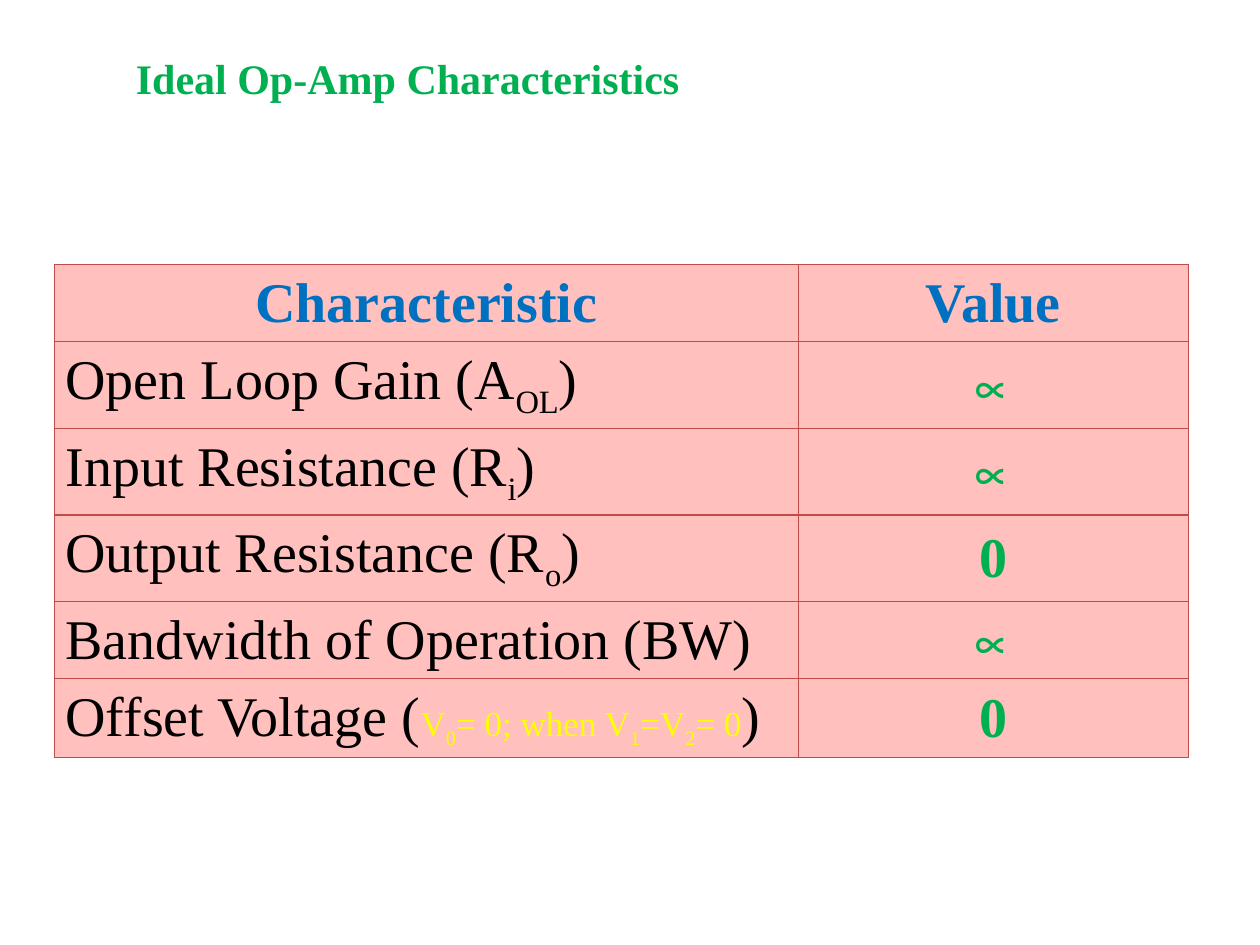
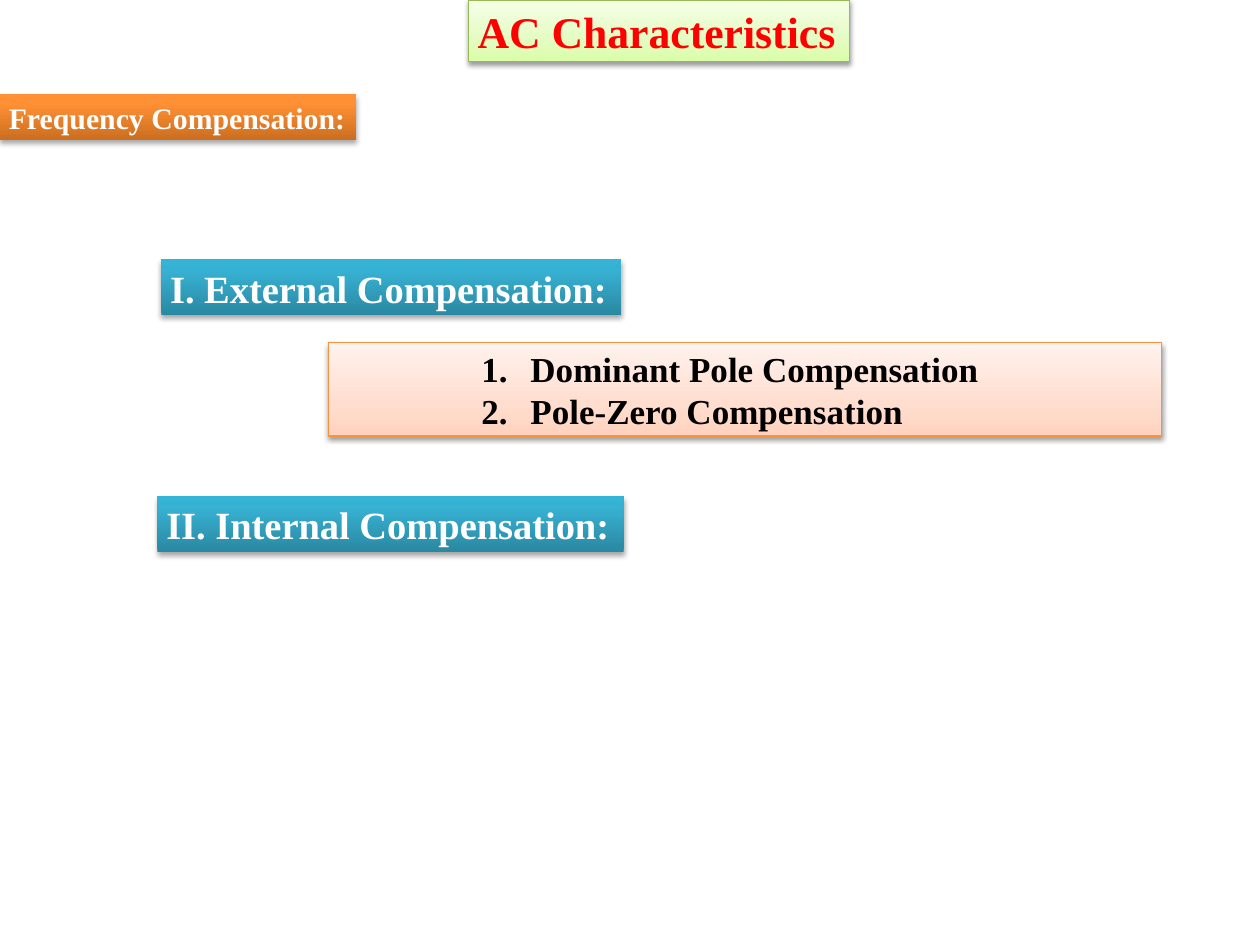
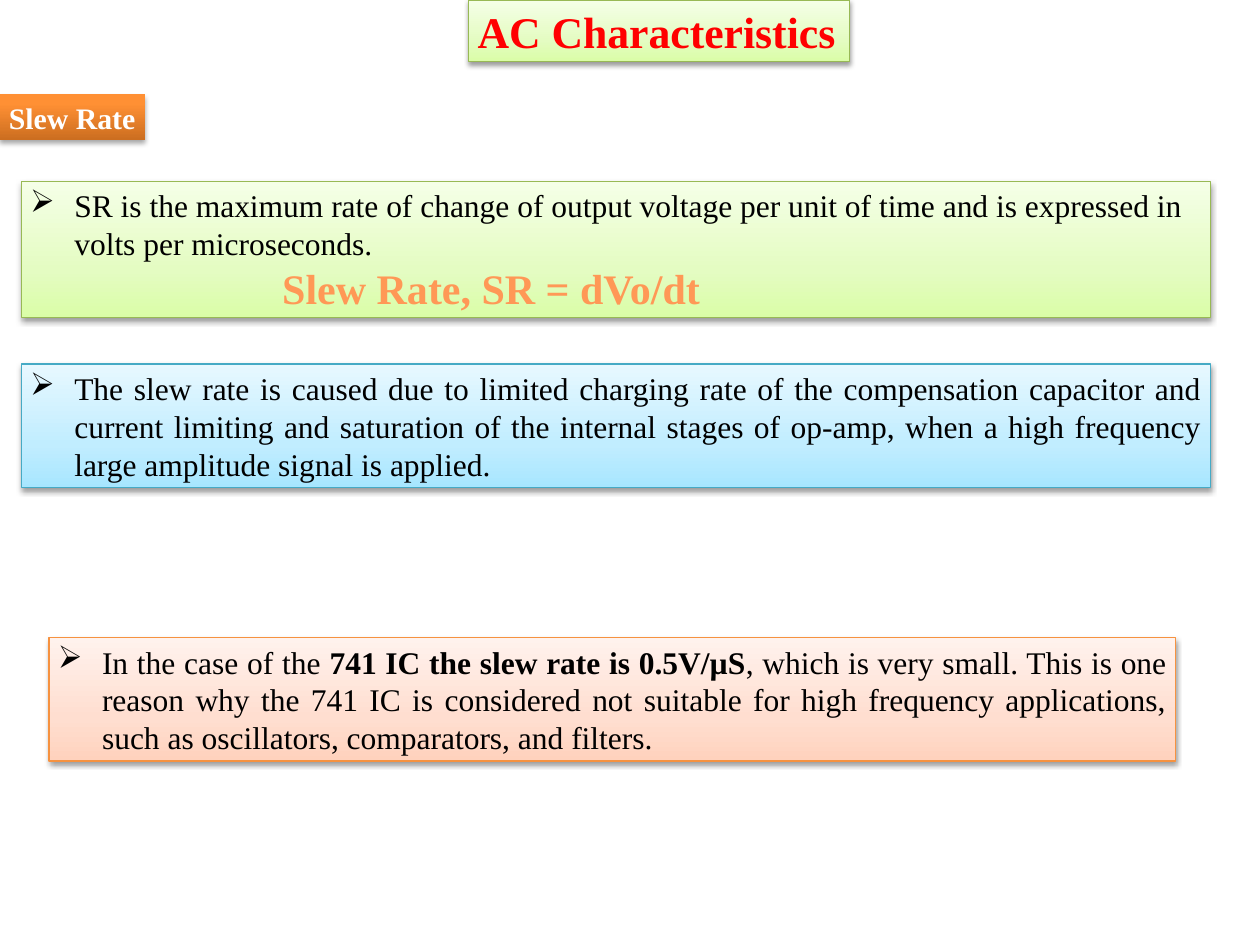
from dataclasses import dataclass
from typing import NamedTuple

from lxml.etree import SubElement
from pptx import Presentation
from pptx.dml.color import RGBColor
from pptx.enum.shapes import MSO_SHAPE
from pptx.enum.text import MSO_ANCHOR as Anchor
from pptx.enum.text import MSO_AUTO_SIZE as AutoSize
from pptx.enum.text import PP_ALIGN as Align
from pptx.oxml.ns import qn
from pptx.util import Inches, Pt

FONT = "Times New Roman"
COLORS = {
    "black": "000000",
    "white": "FFFFFF",
    "red": "FF0000",
    "green": "00B050",
    "blue": "0070C0",
    "yellow": "FFFF00",
    "formula": "FF9856",
    "cell": "FFC0BE",
    "border": "BF4C48",
}


# Text and box descriptions
class Run(NamedTuple):
    text: str
    size: float
    color: str = "black"
    bold: bool = False
    subscript: bool = False


class Para(NamedTuple):
    runs: list[Run]
    align: Align = Align.LEFT
    indent: float = 0
    hanging: float = 0
    bullet: str = ""  # a character, or "1." for automatic numbers


@dataclass(frozen=True)
class Look:
    stops: tuple[tuple[int, str], ...]  # from bottom to top
    line: str = ""


@dataclass(frozen=True)
class Box:
    left: float
    top: float
    width: float
    height: float
    look: Look
    paras: list[Para]
    wrap: bool = True


def soft(bottom: str, middle: str, top: str, line: str) -> Look:
    return Look(((0, bottom), (35, middle), (100, top)), line)


def strong(bottom: str, middle: str, top: str) -> Look:
    return Look(((0, bottom), (80, middle), (100, top)))


SOFT_GREEN = soft("DAFDA7", "E4FCC2", "F5FFE7", "98B955")
SOFT_ORANGE = soft("FFD2BD", "FFDED0", "FFF2ED", "F69240")
SOFT_BLUE = soft("A7E6FF", "C1EDFF", "E7F8FF", "46AAC5")
STRONG_ORANGE = strong("CC6E20", "FF9034", "FF9136")
STRONG_TEAL = strong("2A88A2", "37B1D2", "34B4D6")


# Drawing functions
def write_para(paragraph, para: Para) -> None:
    paragraph.alignment = para.align
    props = paragraph._p.get_or_add_pPr()
    props.set("marL", str(Inches(para.indent)))
    props.set("indent", str(-Inches(para.hanging)))
    if para.bullet == "1.":
        SubElement(props, qn("a:buAutoNum"), type="arabicPeriod")
    elif para.bullet:
        SubElement(props, qn("a:buChar"), char=para.bullet)
    for item in para.runs:
        run = paragraph.add_run()
        run.text = item.text
        font = run.font
        font.name, font.size, font.bold = FONT, Pt(item.size), item.bold
        font.color.rgb = RGBColor.from_string(COLORS[item.color])
        if item.subscript:
            run._r.get_or_add_rPr().set("baseline", "-25000")


def write_paras(frame, paras: list[Para]) -> None:
    for index, para in enumerate(paras):
        write_para(frame.add_paragraph() if index else frame.paragraphs[0], para)


def fill_gradient(shape, look: Look) -> None:
    shape.fill.gradient()
    shape.fill.gradient_angle = 90
    stops = next(shape._element.spPr.iter(qn("a:gsLst")))
    for stop in list(stops):
        stops.remove(stop)
    for position, color in look.stops:
        stop = SubElement(stops, qn("a:gs"), pos=str(position * 1000))
        SubElement(stop, qn("a:srgbClr"), val=color)


def add_shadow(shape, opacity: int, distance: float) -> None:
    shape.shadow.inherit = False
    effects = shape._element.spPr.find(qn("a:effectLst"))
    shadow = SubElement(effects, qn("a:outerShdw"), blurRad=str(Pt(3.1)),
                        dist=str(Pt(distance)), dir="5400000", rotWithShape="0")
    color = SubElement(shadow, qn("a:srgbClr"), val=COLORS["black"])
    SubElement(color, qn("a:alpha"), val=str(opacity * 1000))


def add_box(slide, box: Box) -> None:
    shape = slide.shapes.add_shape(
        MSO_SHAPE.RECTANGLE, Inches(box.left), Inches(box.top),
        Inches(box.width), Inches(box.height))
    fill_gradient(shape, box.look)
    if box.look.line:
        shape.line.color.rgb = RGBColor.from_string(box.look.line)
        shape.line.width = Pt(0.75)
        add_shadow(shape, 38, 1.6)
    else:
        shape.line.fill.background()
        add_shadow(shape, 35, 1.8)
    frame = shape.text_frame
    frame.word_wrap = box.wrap
    frame.auto_size = AutoSize.SHAPE_TO_FIT_TEXT
    frame.vertical_anchor = Anchor.TOP
    frame.margin_left = frame.margin_right = Inches(0.07)
    frame.margin_top = frame.margin_bottom = Inches(0.04)
    write_paras(frame, box.paras)


def add_label(slide, left: float, top: float, width: float, height: float,
              look: Look, text: str, size: float, color: str = "white") -> None:
    paras = [Para([Run(text, size, color, bold=True)])]
    add_box(slide, Box(left, top, width, height, look, paras, wrap=False))


def add_ac_slide(prs, topic: str, topic_width: float):
    slide = prs.slides.add_slide(prs.slide_layouts[6])
    add_label(slide, 3.72, 0, 3.02, 0.49, SOFT_GREEN, "AC Characteristics", 25, "red")
    add_label(slide, 0, 0.75, topic_width, 0.36, STRONG_ORANGE, topic, 17)
    return slide


def format_cell(cell, para: Para) -> None:
    cell.vertical_anchor = Anchor.MIDDLE
    cell.margin_left = cell.margin_right = Inches(0.09)
    cell.margin_top = cell.margin_bottom = Inches(0.04)
    props = cell._tc.get_or_add_tcPr()
    for side in ("lnL", "lnR", "lnT", "lnB"):
        line = SubElement(props, qn(f"a:{side}"), w=str(Pt(0.75)))
        fill = SubElement(line, qn("a:solidFill"))
        SubElement(fill, qn("a:srgbClr"), val=COLORS["border"])
    cell.fill.solid()
    cell.fill.fore_color.rgb = RGBColor.from_string(COLORS["cell"])
    write_para(cell.text_frame.paragraphs[0], para)


# Slide 1: table of ideal values
def with_subscript(before: str, subscript: str) -> list[Run]:
    return [Run(before, 32), Run(subscript, 32, subscript=True), Run(")", 32)]


def add_ideal_slide(prs) -> None:
    slide = prs.slides.add_slide(prs.slide_layouts[6])
    title = slide.shapes.add_textbox(Inches(0.98), Inches(0.37), Inches(8.58), Inches(0.5))
    title.text_frame.word_wrap = True
    write_paras(title.text_frame,
                [Para([Run("Ideal Op-Amp Characteristics", 24, "green", bold=True)])])

    condition = [("V", False), ("0", True), ("= 0; when V", False), ("1", True),
                 ("=V", False), ("2", True), ("= 0", False)]
    offset = [Run("Offset Voltage (", 32),
              *(Run(text, 20, "yellow", subscript=sub) for text, sub in condition),
              Run(")", 32)]
    rows = [
        (0.59, [Run("Characteristic", 32, "blue", bold=True)], "Value"),
        (0.66, with_subscript("Open Loop Gain (A", "OL"), "∝"),
        (0.67, with_subscript("Input Resistance (R", "i"), "∝"),
        (0.66, with_subscript("Output Resistance (R", "o"), "0"),
        (0.59, [Run("Bandwidth of Operation (BW)", 32)], "∝"),
        (0.6, offset, "0"),
    ]
    table = slide.shapes.add_table(len(rows), 2, Inches(0.43), Inches(2.1), Inches(9),
                                   Inches(sum(row[0] for row in rows))).table
    table.first_row = table.horz_banding = False
    table.columns[0].width, table.columns[1].width = Inches(5.91), Inches(3.09)
    for index, (height, characteristic, value) in enumerate(rows):
        is_header = index == 0
        table.rows[index].height = Inches(height)
        format_cell(table.cell(index, 0),
                    Para(characteristic, Align.CENTER if is_header else Align.LEFT))
        value_color = "blue" if is_header else "green"
        format_cell(table.cell(index, 1),
                    Para([Run(value, 32, value_color, bold=True)], Align.CENTER))


# Slide 2: frequency compensation
def add_compensation_slide(prs) -> None:
    slide = add_ac_slide(prs, "Frequency Compensation:", 2.83)
    methods = [Para([Run(name, 20, bold=True)], Align.JUSTIFY, 1.53, 0.39, "1.")
               for name in ("Dominant Pole Compensation", "Pole-Zero Compensation")]
    add_box(slide, Box(2.61, 2.72, 6.61, 0.74, SOFT_ORANGE, methods))
    add_label(slide, 1.28, 2.06, 3.65, 0.44, STRONG_TEAL, "I. External Compensation:", 22)
    add_label(slide, 1.25, 3.94, 3.7, 0.44, STRONG_TEAL, "II. Internal Compensation:", 22)


# Slide 3: slew rate
def point(*runs: Run, align: Align = Align.JUSTIFY) -> Para:
    return Para(list(runs), align, 0.35, 0.35, "➢")


def add_slew_rate_slide(prs) -> None:
    slide = add_ac_slide(prs, "Slew Rate", 1.15)
    definition = point(
        Run("SR is the maximum rate of change of output voltage per unit of time and is "
            "expressed in volts per microseconds.", 18), align=Align.LEFT)
    formula = Para([Run("Slew Rate, SR = dVo/dt", 24, "formula", bold=True)], indent=2)
    cause = point(
        Run("The slew rate is caused due to limited charging rate of the compensation "
            "capacitor and current limiting and saturation of the internal stages of "
            "op-amp, when a high frequency large amplitude signal is applied.", 18))
    example = point(
        Run("In the case of the ", 18),
        Run("741 IC the slew rate is 0.5V/µS", 18, bold=True),
        Run(", which is very small. This is one reason why the 741 IC is considered not "
            "suitable for high frequency applications, such as oscillators, comparators, "
            "and filters.", 18))
    for box in (
        Box(0.17, 1.44, 9.44, 1.08, SOFT_GREEN, [definition, formula]),
        Box(0.17, 2.89, 9.44, 0.98, SOFT_BLUE, [cause]),
        Box(0.39, 5.06, 8.94, 0.98, SOFT_ORANGE, [example]),
    ):
        add_box(slide, box)


def main() -> None:
    prs = Presentation()
    prs.slide_width, prs.slide_height = Inches(10), Inches(7.5)
    add_ideal_slide(prs)
    add_compensation_slide(prs)
    add_slew_rate_slide(prs)
    prs.save("out.pptx")


if __name__ == "__main__":
    main()
